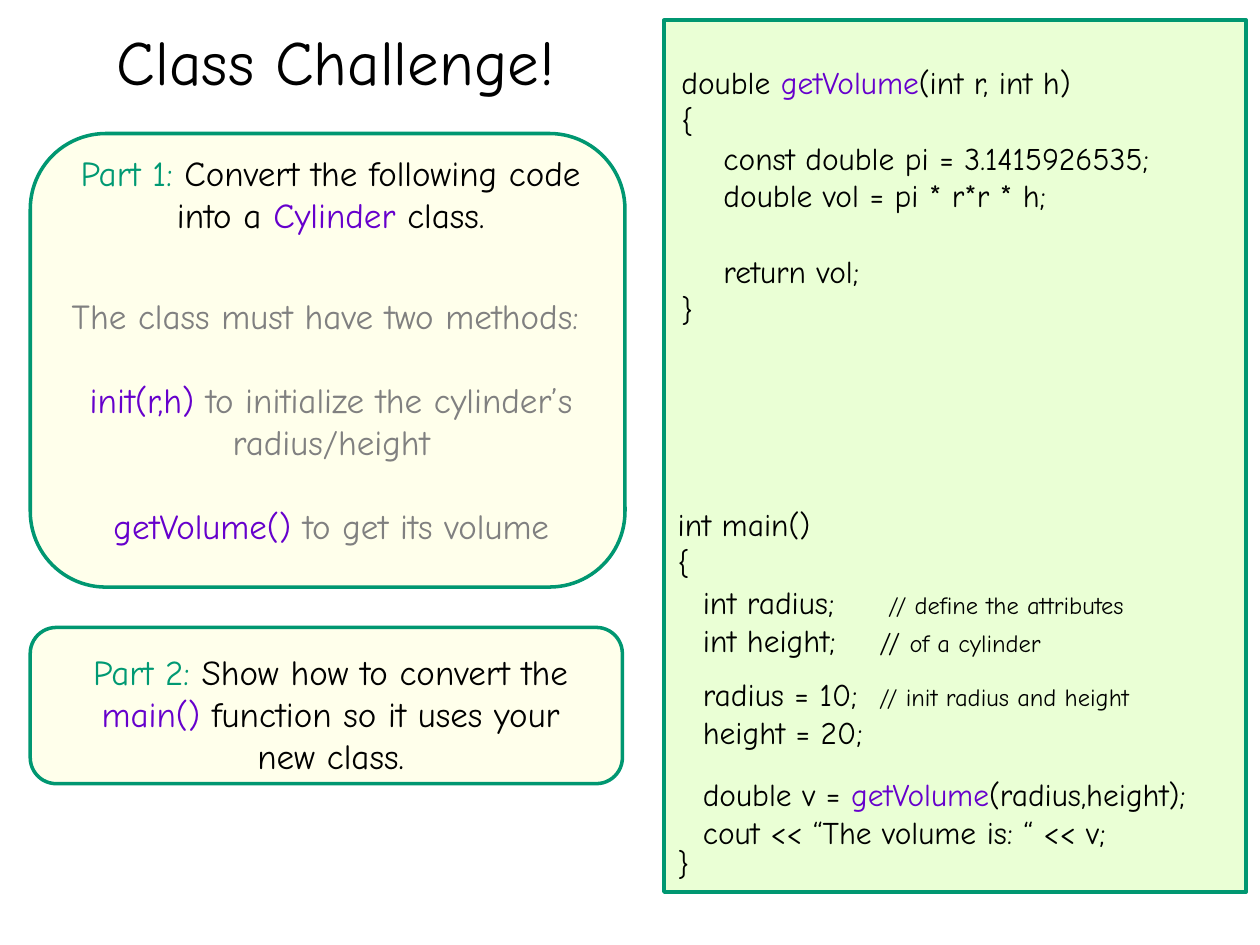
from dataclasses import dataclass
from typing import Optional

from lxml import etree
from pptx import Presentation
from pptx.dml.color import RGBColor
from pptx.enum import shapes, text
from pptx.oxml import ns
from pptx.util import Inches, Pt

FONT = "Comic Neue"
BLACK = RGBColor(0x00, 0x00, 0x00)
GRAY = RGBColor(0x80, 0x80, 0x80)
GREEN = RGBColor(0x00, 0x99, 0x73)
PURPLE = RGBColor(0x66, 0x00, 0xCC)
BORDER = RGBColor(0x00, 0x97, 0x71)
CREAM = RGBColor(0xFF, 0xFF, 0xEB)
LIME = RGBColor(0xEA, 0xFF, 0xD5)
CODE_LINE = 21.5  # points per line of 18 pt code
TASK_LINE = 24  # points per line of 20 pt text


@dataclass
class Span:
    words: str
    color: RGBColor = BLACK
    size: Optional[int] = None


@dataclass
class Line:
    spans: list[Span]
    before: float = 0
    tab: Optional[float] = None


@dataclass
class Panel:
    kind: shapes.MSO_SHAPE
    at: tuple[float, float, float, float]
    fill: RGBColor


@dataclass
class TextBlock:
    at: tuple[float, float, float, float]
    lines: list[Line]
    size: int = 18
    align: text.PP_ALIGN = text.PP_ALIGN.LEFT
    anchor: text.MSO_ANCHOR = text.MSO_ANCHOR.TOP


def code(words: str, before: float = 0) -> Line:
    return Line([Span(words)], before)


def commented(statement: str, tab: float, *comment: Span) -> Line:
    return Line([Span(statement + "\t"), *comment], tab=tab)


def task(at: tuple[float, float, float, float], *lines: Line) -> TextBlock:
    return TextBlock(at, list(lines), 20, text.PP_ALIGN.CENTER)


def draw_panel(page, panel: Panel) -> None:
    shape = page.shapes.add_shape(panel.kind, *map(Inches, panel.at))
    shape.shadow.inherit = False
    shape.fill.solid()
    shape.fill.fore_color.rgb = panel.fill
    shape.line.color.rgb = BORDER
    shape.line.width = Pt(2)


def add_tab_stop(para, position: float) -> None:
    stops = etree.SubElement(para._p.get_or_add_pPr(), ns.qn("a:tabLst"))
    etree.SubElement(stops, ns.qn("a:tab"), pos=str(Inches(position)), algn="l")


def draw_text(page, block: TextBlock) -> None:
    box = page.shapes.add_textbox(*map(Inches, block.at))
    frame = box.text_frame
    frame.word_wrap = True
    frame.vertical_anchor = block.anchor
    for index, line in enumerate(block.lines):
        para = frame.add_paragraph() if index else frame.paragraphs[0]
        para.alignment = block.align
        if line.before:
            para.space_before = Pt(line.before)
        if line.tab:
            add_tab_stop(para, line.tab)
        para.font.name = FONT
        para.font.size = Pt(block.size)
        for span in line.spans:
            run = para.add_run()
            run.text = span.words
            run.font.color.rgb = span.color
            if span.size:
                run.font.size = Pt(span.size)


PANELS = [
    Panel(shapes.MSO_SHAPE.ROUNDED_RECTANGLE, (0.24, 4.98, 4.7, 1.24), CREAM),
    Panel(shapes.MSO_SHAPE.ROUNDED_RECTANGLE, (0.24, 1.06, 4.72, 3.6), CREAM),
    Panel(shapes.MSO_SHAPE.RECTANGLE, (5.27, 0.16, 4.62, 6.92), LIME),
]

TITLE = TextBlock((0.83, -0.15, 8.5, 1.25), [Line([Span("Class Challenge!")])],
                  36, anchor=text.MSO_ANCHOR.MIDDLE)

# Left column: the tasks
TASKS = [
    task((0.46, 1.15, 4.33, 0.77),
         Line([Span("Part 1: ", GREEN), Span("Convert the following code into a "),
               Span("Cylinder", PURPLE), Span(" class.")])),
    task((0.15, 2.29, 4.96, 2.12),
         Line([Span("The class must have two methods: ", GRAY)]),
         Line([Span("init(r,h) ", PURPLE),
               Span("to initialize the cylinder’s radius/height", GRAY)], TASK_LINE),
         Line([Span("getVolume() ", PURPLE), Span("to get its volume", GRAY)], TASK_LINE)),
    task((0.46, 5.11, 4.33, 1.11),
         Line([Span("Part 2: ", GREEN), Span("Show how to convert the "),
               Span("main() ", PURPLE), Span("function so it uses your new class.")])),
]

# Right column: the code to convert
CODE = [
    TextBlock((5.28, 3.96, 1.31, 3.25),
              [code("int main()"), code("{"), code("}", 7 * CODE_LINE)]),
    TextBlock((5.48, 4.58, 4.13, 0.4),
              [commented("int radius;", 1.47, Span("// define the attributes", size=14))]),
    TextBlock((5.48, 4.88, 3.18, 0.4),
              [commented("int height;", 1.4, Span("// ", size=16),
                         Span("of a cylinder", size=14))]),
    TextBlock((5.48, 5.31, 4.33, 0.71),
              [commented("radius = 10;", 1.4, Span("// init radius and height", size=14)),
               code("height = 20;")]),
    TextBlock((5.31, 0.45, 4.3, 2.22),
              [Line([Span("double "), Span("getVolume", PURPLE), Span("(int r, int h)")]),
               code("{"),
               code("    const double pi = 3.1415926535;"),
               code("    double vol = pi * r*r * h;"),
               code("    return vol;", CODE_LINE),
               code("}")]),
    TextBlock((5.48, 6.1, 5.24, 0.71),
              [Line([Span("double v = "), Span("getVolume", PURPLE),
                     Span("(radius,height);")]),
               code("cout << “The volume is: “ << v;")]),
]


def main() -> None:
    deck = Presentation()
    deck.slide_width, deck.slide_height = Inches(10), Inches(7.5)
    page = deck.slides.add_slide(deck.slide_layouts[6])
    for panel in PANELS:
        draw_panel(page, panel)
    for block in [TITLE, *TASKS, *CODE]:
        draw_text(page, block)
    deck.save("out.pptx")


if __name__ == "__main__":
    main()
